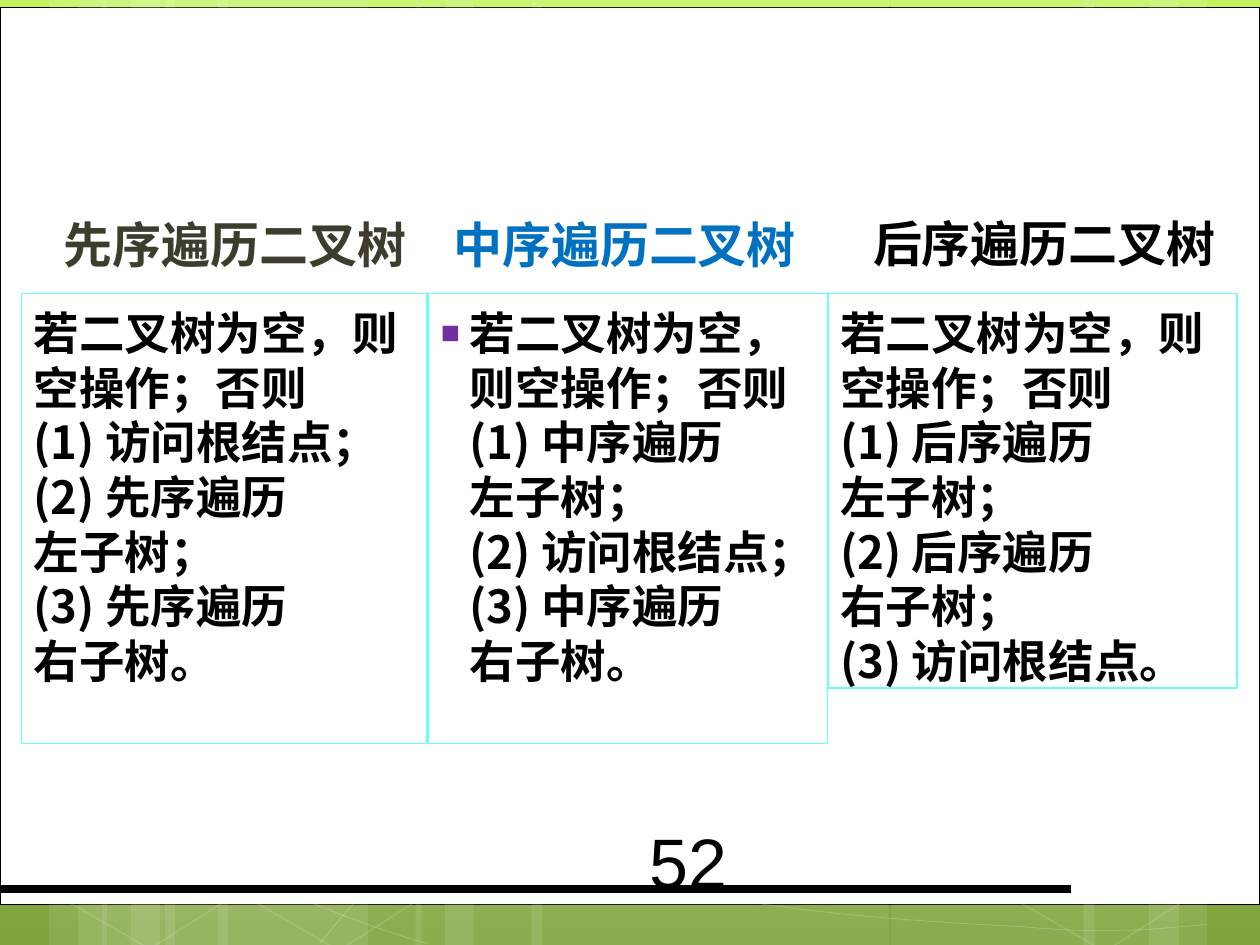
from lxml.etree import SubElement
from pptx import Presentation
from pptx.dml.color import RGBColor
from pptx.enum.shapes import MSO_CONNECTOR, MSO_SHAPE
from pptx.enum.text import MSO_ANCHOR, MSO_AUTO_SIZE, PP_ALIGN
from pptx.oxml.ns import qn
from pptx.util import Cm, Pt

COLORS = {
    "sky": "C2F35F", "grass": "80A33D", "white": "FFFFFF", "black": "000000",
    "olive": "3E3D2D", "blue": "0070C0", "cyan": "66FFFF", "purple": "7030A0",
}
SANS, CJK_SC, CJK_JP = "Arial", "Noto Sans CJK SC", "Noto Sans CJK JP"

BANDS = [
    (3.33, 4.09), (0.99, 1.17), (1.57, 1.96), (4.39, 4.11), (2.06, 1.17),
    (2.64, 1.96), (17.96, 4.11), (23.16, 1.17), (21.84, 1.93),
    (10.72, 7.21), (8.38, 1.17), (8.97, 1.96),
]
CURVES = [
    [(0.91, 15.67), (3.73, 17.07), (6.55, 18.47), (8.61, 19.02)],
    [(0.94, 14.68), (1.68, 14.96), (2.41, 15.24), (3.78, 15.65),
     (5.13, 16.03), (7.16, 16.66), (9.12, 17.09),
     (11.07, 17.53), (13.54, 17.98), (15.47, 18.24),
     (17.4, 18.52), (19.48, 18.62), (20.73, 18.69),
     (21.95, 18.8), (22.28, 18.75), (22.89, 18.75),
     (23.47, 18.72), (23.88, 18.67), (24.33, 18.64)],
    [(6.45, 19.02), (6.86, 18.52), (7.26, 18.01), (7.85, 17.55),
     (8.41, 17.07), (9.19, 16.59), (9.86, 16.23)],
]
HEXAGONS = [(1.04, 15.01), (4.85, 15.04), (20.29, 15.06)]
HEADINGS = [
    ("先序遍历二叉树", (0.84, 4.09, 7.82, 1.47), "olive", CJK_JP, 0.2),
    ("中序遍历二叉树", (8.89, 4.09, 8.26, 1.45), "blue", SANS, 0),
    ("后序遍历二叉树", (17.35, 4.06, 8.05, 1.45), "black", SANS, 0),
]
RULES = [
    ("若二叉树为空，则空操作；否则\n(1) 中序遍历\t左子树；\n"
     "(2) 访问根结点；\n(3) 中序遍历\t右子树。", (8.64, 5.92, 8.05, 9.07), True),
    ("若二叉树为空，则空操作；否则\n(1) 后序遍历\t左子树；\n"
     "(2) 后序遍历\t右子树；\n(3) 访问根结点。", (16.69, 5.92, 8.25, 7.95), False),
    ("若二叉树为空，则空操作；否则\n(1) 访问根结点；\n"
     "(2) 先序遍历\t左子树；\n(3) 先序遍历\t右子树。", (0.43, 5.92, 8.18, 9.07), False),
]


def rgb(color):
    return RGBColor.from_string(COLORS[color])


def apply(target, values):
    for name, value in values.items():
        setattr(target, name, value)


def set_alpha(holder, percent):
    for color in holder.iter(qn("a:srgbClr")):
        SubElement(color, qn("a:alpha"), val=str(percent * 1000))


def style(shape, fill=None, line=None, width=0.75, alpha=None):
    shape.shadow.inherit = False
    if fill:
        shape.fill.solid()
        shape.fill.fore_color.rgb = rgb(fill)
    else:
        shape.fill.background()
    if line:
        shape.line.color.rgb = rgb(line)
        shape.line.width = Pt(width)
    else:
        shape.line.fill.background()
    if alpha:
        set_alpha(shape.element.spPr, alpha)


def add_box(slide, kind, box, **look):
    shape = slide.shapes.add_shape(kind, *map(Cm, box))
    style(shape, **look)
    return shape


def bezier_points(curve, steps=12):
    for first in range(0, len(curve) - 1, 3):
        anchors = curve[first:first + 4]
        for step in range(1, steps + 1):
            t = step / steps
            weights = ((1 - t) ** 3, 3 * t * (1 - t) ** 2, 3 * t * t * (1 - t), t ** 3)
            yield tuple(Cm(sum(w * p[axis] for w, p in zip(weights, anchors)))
                        for axis in (0, 1))


def add_curve(slide, curve):
    builder = slide.shapes.build_freeform(*map(Cm, curve[0]))
    builder.add_line_segments(list(bezier_points(curve)), close=False)
    style(builder.convert_to_shape(), line="white", width=0.5, alpha=20)


def add_rule_line(slide):
    rule = slide.shapes.add_connector(
        MSO_CONNECTOR.STRAIGHT, Cm(0), Cm(17.93), Cm(21.59), Cm(17.93))
    rule.line.color.rgb = rgb("black")
    rule.line.width = Pt(4.5)
    SubElement(rule._element.spPr, qn("a:effectLst"))


def add_bullet(paragraph):
    props = paragraph._p.get_or_add_pPr()
    indent = Cm(0.58)
    props.set("marL", str(indent))
    props.set("indent", str(-indent))
    SubElement(SubElement(props, qn("a:buClr")), qn("a:srgbClr"), val=COLORS["purple"])
    SubElement(props, qn("a:buSzPct"), val="70000")
    SubElement(props, qn("a:buFont"), typeface=SANS)
    SubElement(props, qn("a:buChar"), char="■")


def add_tabs(paragraph, first):
    stops = SubElement(paragraph._p.get_or_add_pPr(), qn("a:tabLst"))
    for inch in range(first, first + 8):
        SubElement(stops, qn("a:tab"), pos=str(Cm(2.54 * inch)), algn="l")


def write(shape, text, font, color, size, spacing=None, bold=True, bulleted=False,
          left=0.25, top=0.23):
    frame = shape.text_frame
    apply(frame, {
        "word_wrap": True, "auto_size": MSO_AUTO_SIZE.NONE,
        "vertical_anchor": MSO_ANCHOR.TOP,
        "margin_left": Cm(left), "margin_right": Cm(0.25),
        "margin_top": Cm(top), "margin_bottom": Cm(0.03),
    })
    paragraph = frame.paragraphs[0]
    paragraph.text = text
    paragraph.alignment = PP_ALIGN.LEFT
    if spacing:
        paragraph.line_spacing = Pt(spacing)
    if bulleted:
        add_bullet(paragraph)
    if "\t" in text:
        add_tabs(paragraph, 1 if bulleted else 0)
    east_asian = CJK_SC if font == SANS else font
    for run in paragraph.runs:
        apply(run.font, {"name": font, "size": Pt(size), "bold": bold})
        run.font.color.rgb = rgb(color)
        SubElement(run._r.get_or_add_rPr(), qn("a:ea"), typeface=east_asian)


def add_backdrop(slide):
    fill = slide.background.fill
    fill.gradient()
    fill.gradient_angle = 270
    for stop, color in zip(fill.gradient_stops, ("sky", "grass")):
        stop.color.rgb = rgb(color)
    add_box(slide, MSO_SHAPE.RECTANGLE, (0, 0.15, 25.4, 18.08),
            fill="white", line="black", width=0.5)
    for left, width in BANDS:
        add_box(slide, MSO_SHAPE.RECTANGLE, (left, 0, width, 19.05), fill="white", alpha=10)
    for curve in CURVES:
        add_curve(slide, curve)
    for left, top in HEXAGONS:
        hexagon = add_box(slide, MSO_SHAPE.HEXAGON, (left, top, 4.09, 3.86),
                          line="white", width=1, alpha=12)
        hexagon.adjustments[0] = 0.26
        hexagon.rotation = 30
    add_rule_line(slide)


def main():
    deck = Presentation()
    apply(deck, {"slide_width": Cm(25.4), "slide_height": Cm(19.05)})
    slide = deck.slides.add_slide(deck.slide_layouts[6])
    add_backdrop(slide)
    number = slide.shapes.add_textbox(*map(Cm, (12.9, 16.26, 9.73, 1.02)))
    write(number, "52", SANS, "black", 40, bold=False, left=0.2, top=0.25)
    for text, box, bulleted in RULES:
        panel = add_box(slide, MSO_SHAPE.RECTANGLE, box, line="cyan")
        write(panel, text, CJK_SC, "black", 26, 31.25, bulleted=bulleted)
    for text, box, color, font, indent in HEADINGS:
        heading = slide.shapes.add_textbox(*map(Cm, box))
        write(heading, text, font, color, 28, 34, left=0.25 + indent)
    deck.save("out.pptx")


if __name__ == "__main__":
    main()
